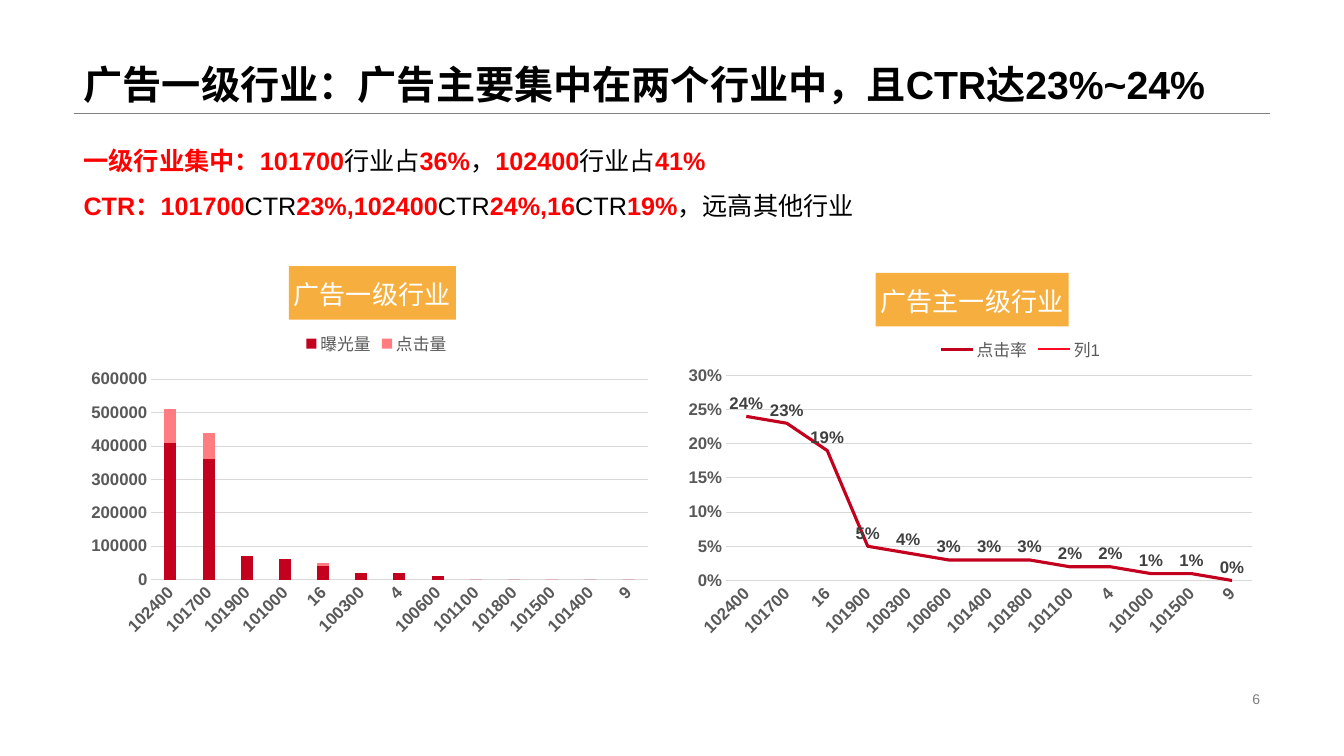
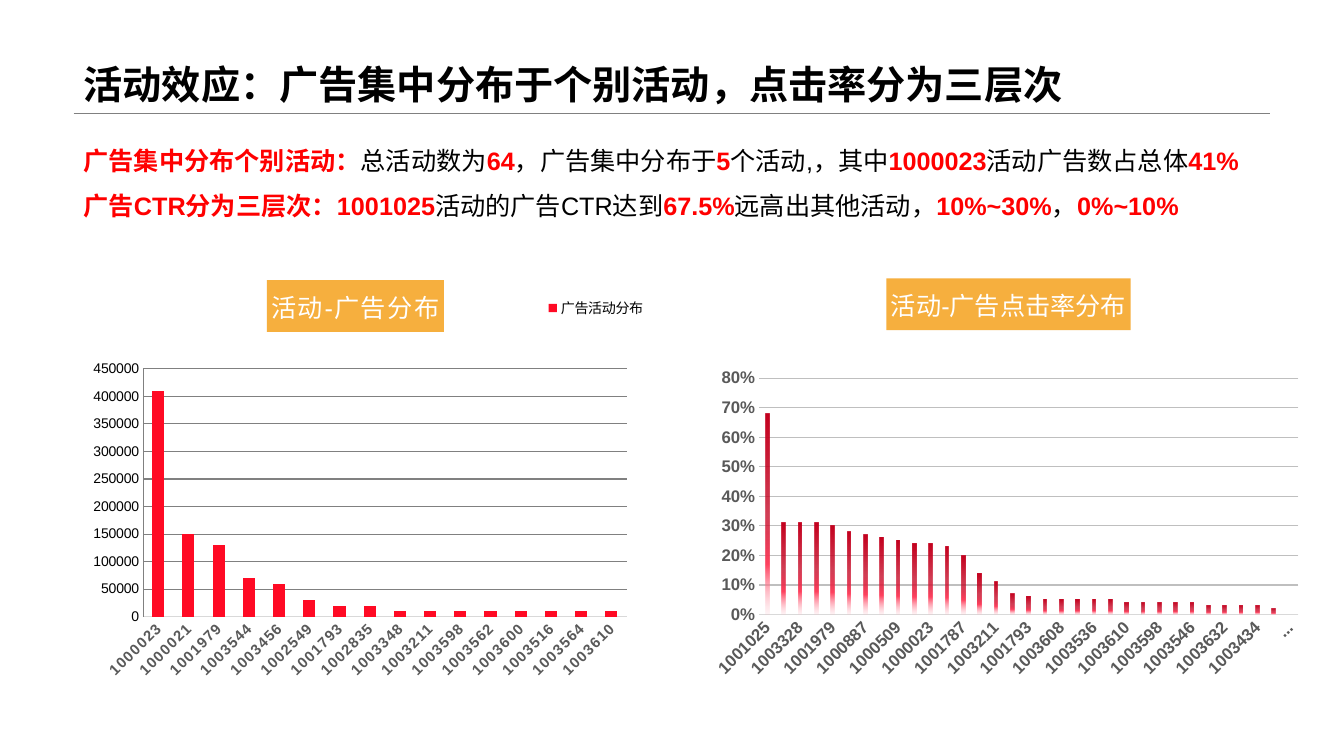
"""Build two slides on how adverts spread over industries and campaigns."""
from lxml import etree
from pptx import Presentation
from pptx.chart.data import CategoryChartData
from pptx.dml.color import RGBColor
from pptx.enum.chart import XL_CHART_TYPE, XL_LABEL_POSITION, XL_LEGEND_POSITION, XL_TICK_MARK
from pptx.enum.shapes import MSO_CONNECTOR
from pptx.enum.text import MSO_ANCHOR, MSO_AUTO_SIZE, PP_ALIGN
from pptx.oxml import parse_xml
from pptx.oxml.ns import nsdecls, qn
from pptx.util import Inches, Pt

STACK = XL_CHART_TYPE.COLUMN_STACKED
BARS = XL_CHART_TYPE.COLUMN_CLUSTERED
LINE = XL_CHART_TYPE.LINE
ABOVE = XL_LABEL_POSITION.ABOVE
BOTTOM, RIGHT = XL_LEGEND_POSITION.BOTTOM, XL_LEGEND_POSITION.RIGHT
NO_TICK = XL_TICK_MARK.NONE
STRAIGHT = MSO_CONNECTOR.STRAIGHT
LOW, MID, TOP = MSO_ANCHOR.BOTTOM, MSO_ANCHOR.MIDDLE, MSO_ANCHOR.TOP
FIXED = MSO_AUTO_SIZE.NONE
LEFT, FAR = PP_ALIGN.LEFT, PP_ALIGN.RIGHT

FACE = "Arial"
WIDE, HIGH = Inches(13.333), Inches(7.5)
TONES = {
    "black": "000000", "white": "FFFFFF", "red": "FF0000", "grey": "808080",
    "slate": "595959", "dark": "404040", "pale": "D9D9D9", "mist": "BFBFBF",
    "amber": "F6AF3E", "wine": "C4001F", "pink": "FF7C80", "fire": "FF0A24",
}
FADE = [(0, "C4001F", 100), (51, "C4001F", 75), (75, "FF4360", 100), (100, "FFC0CA", 15)]
EDGE, SPAN, RULE = 5.48, 89.03, 14.93

SLIDES = [
    {
        "title": "广告一级行业：广告主要集中在两个行业中，且CTR达23%~24%",
        "number": "6",
        "text": [
            "一级行业集中：101700|行业占|36%|，|102400|行业占|41%",
            "CTR：101700|CTR|23%,102400|CTR|24%,16|CTR|19%|，远高其他行业",
        ],
        "charts": [
            {
                "kind": STACK, "box": (EDGE, 33.47, 44.49, 57.6),
                "title": "广告一级行业", "size": 18.6, "spot": (0.36, 0.03),
                "plot": (0.13, 0.29, 0.83, 0.46), "bars": {"gap_width": 219, "overlap": 100},
                "key": (BOTTOM, 12, "slate", (0.38, 0.17)), "grid": "pale",
                "cats": "102400 101700 101900 101000 16 100300 4 100600 101100 101800 "
                        "101500 101400 9",
                "sets": [
                    ("曝光量", "wine", [410000, 360000, 70000, 60000, 40000, 20000, 20000, 10000]
                     + [0] * 5),
                    ("点击量", "pink", [100000, 80000, 0, 0, 10000] + [0] * 8),
                ],
            },
            {
                "kind": LINE, "box": (50.02, 34.4, 44.49, 56.53),
                "title": "广告主一级行业", "size": 18.6, "spot": (0.34, 0.03),
                "plot": (0.09, 0.27, 0.88, 0.48), "form": "0%",
                "key": (BOTTOM, 12, "slate", (0.44, 0.17)), "grid": "pale",
                "cats": "102400 101700 16 101900 100300 100600 101400 101800 101100 4 "
                        "101000 101500 9",
                "sets": [
                    ("点击率", "wine", [0.24, 0.23, 0.19, 0.05, 0.04, 0.03, 0.03, 0.03,
                                     0.02, 0.02, 0.01, 0.01, 0]),
                    ("列1", "fire", [None] * 13),
                ],
            },
        ],
    },
    {
        "title": "活动效应：广告集中分布于个别活动，点击率分为三层次",
        "text": [
            "广告集中分布个别活动：|总活动数为|64|，广告集中分布于|5|个活动,，其中|1000023"
            "|活动广告数占总体|41%",
            "广告CTR分为三层次：1001025|活动的广告CTR达到|67.5%|远高出其他活动，|10%~30%|，|0%~10%",
        ],
        "charts": [
            {
                "kind": BARS, "box": (4.5, 33.33, 43.88, 61.87),
                "title": "活动-广告分布", "size": 18, "spot": (0.35, 0.06), "gap": 100,
                "plot": (0.14, 0.25, 0.82, 0.53), "bars": {"gap_width": 150},
                "key": (RIGHT, 10, "black", (0.82, 0.09)), "grid": "grey", "plain": True,
                "cats": "1000023 1000021 1001979 1003544 1003456 1002549 1001793 1002835 "
                        "1003348 1003211 1003598 1003562 1003600 1003516 1003564 1003610",
                "sets": [
                    ("广告活动分布", "fire", [410000, 150000, 130000, 70000, 60000, 30000,
                                        20000, 20000] + [10000] * 8),
                ],
            },
            {
                "kind": BARS, "box": (52.88, 30.8, 45.08, 60.13),
                "title": "活动-广告点击率分布", "size": 18, "spot": (0.29, 0.1),
                "plot": (0.08, 0.32, 0.89, 0.52), "bars": {"gap_width": 355, "overlap": -70},
                "form": "0%", "grid": "mist",
                "cats": "1001025 1003197 1003328 1002581 1001979 1002549 1000887 1000021 "
                        "1000509 1003624 1000023 1002913 1001787 1000493 1003211 1001053 "
                        "1001793 1003538 1003608 1003616 1003536 1003544 1003610 1003590 "
                        "1003598 1001623 1003546 1003626 1003632 1003578 1003434 1003602 ...",
                "sets": [
                    ("Series 1", None, [0.68, 0.31, 0.31, 0.31, 0.3, 0.28, 0.27, 0.26, 0.25,
                                        0.24, 0.24, 0.23, 0.2, 0.14, 0.11, 0.07, 0.06]
                     + [0.05] * 5 + [0.04] * 5 + [0.03] * 4 + [0.02, 0]),
                ],
            },
        ],
    },
]


def area(x, y, w, h):
    """Turn percentages of the slide into lengths."""
    return [int(part * full / 100) for part, full in zip((x, y, w, h), (WIDE, HIGH) * 2)]


def put(thing, **vals):
    """Set each named attribute."""
    for name, val in vals.items():
        setattr(thing, name, val)


def tint(tone):
    """Look up a colour."""
    return RGBColor.from_string(TONES[tone])


def ink(font, size, tone, bold=False):
    """Format a font."""
    put(font, name=FACE, size=Pt(size), bold=bold)
    font.color.rgb = tint(tone)


def paint(fill, tone):
    """Fill with one colour."""
    fill.solid()
    fill.fore_color.rgb = tint(tone)


def draw(line, tone, width):
    """Format a line."""
    line.color.rgb = tint(tone)
    line.width = Pt(width)


def write(shape, rows, size, tones, bold, anchor, align=LEFT, space=1.0):
    """Write rows whose parts, split by bars, take turns in tone and weight."""
    frame = shape.text_frame
    put(frame, word_wrap=True, auto_size=FIXED, vertical_anchor=anchor)
    for i, row in enumerate(rows):
        para = frame.add_paragraph() if i else frame.paragraphs[0]
        put(para, alignment=align, line_spacing=space)
        for j, part in enumerate(row.split("|")):
            run = para.add_run()
            run.text = part
            ink(run.font, size, tones[j % len(tones)], bold and j % 2 == 0)


def place(node, spot, index):
    """Give a chart part a fixed spot, as shares of the chart."""
    for old in node.findall(qn("c:layout")):
        node.remove(old)
    lay = etree.Element(qn("c:layout"))
    hand = etree.SubElement(lay, qn("c:manualLayout"))
    vals = [("xMode", "edge"), ("yMode", "edge"), *zip("xywh", spot)]
    if len(spot) == 4:
        vals.insert(0, ("layoutTarget", "inner"))
    for name, val in vals:
        etree.SubElement(hand, qn("c:" + name)).set("val", str(val))
    node.insert(index, lay)


def fade(series):
    """Fill a series with the fading gradient."""
    stops = "".join(
        f'<a:gs pos="{pos * 1000}"><a:srgbClr val="{tone}"><a:alpha val="{alpha * 1000}"/>'
        f'</a:srgbClr></a:gs>' for pos, tone, alpha in FADE)
    fill = series.format.fill
    fill.solid()
    solid = series.format.element.xpath("./c:spPr/a:solidFill")[0] \
        if hasattr(series.format, "element") else series._element.xpath("./c:spPr/a:solidFill")[0]
    solid.getparent().replace(solid, parse_xml(
        f'<a:gradFill {nsdecls("a")}><a:gsLst>{stops}</a:gsLst>'
        '<a:lin ang="5400000" scaled="0"/></a:gradFill>'))


def style(series, tone, kind):
    """Colour one series and label it if it is a line."""
    if kind == LINE:
        series.smooth = False
        draw(series.format.line, tone, 2.25 if tone == "wine" else 1.5)
        tags = series.data_labels
        put(tags, show_value=True, position=ABOVE)
        ink(tags.font, 12, "dark", True)
    elif tone:
        paint(series.format.fill, tone)
    else:
        fade(series)


def axes(chart, data):
    """Format both axes."""
    plain, gap = data.get("plain"), data.get("gap", 0)
    cat, val = chart.category_axis, chart.value_axis
    for axis in (cat, val):
        put(axis, major_tick_mark=NO_TICK, minor_tick_mark=NO_TICK)
    ink(cat.tick_labels.font, 10.6 if plain else 12, "slate", True)
    draw(cat.format.line, "pale", 0.75)
    text = cat._element.find(qn("c:txPr"))
    text.find(qn("a:bodyPr")).set("rot", "-2700000")
    for node in text.iter(qn("a:defRPr")):
        node.set("spc", str(gap))
    val.has_major_gridlines = True
    draw(val.major_gridlines.format.line, data["grid"], 0.75)
    put(val.tick_labels, number_format=data.get("form", "General"),
        number_format_is_linked=False)
    if plain:
        ink(val.tick_labels.font, 10, "black")
        draw(val.format.line, "grey", 0.75)
    else:
        ink(val.tick_labels.font, 12, "slate", True)
        val.format.line.fill.background()


def graph(slide, data):
    """Add one chart with its amber title and key."""
    form = data.get("form", "General")
    table = CategoryChartData(number_format=form)
    table.categories = data["cats"].split()
    for name, _, vals in data["sets"]:
        table.add_series(name, vals)
    chart = slide.shapes.add_chart(data["kind"], *area(*data["box"]), table).chart
    ink(chart.font, 10, "black")
    plot = chart.plots[0]
    put(plot, vary_by_categories=False, **data.get("bars", {}))
    for series, (_, tone, _) in zip(plot.series, data["sets"]):
        style(series, tone, data["kind"])
    axes(chart, data)
    head = chart.chart_title
    run = head.text_frame.paragraphs[0].add_run()
    run.text = data["title"]
    ink(run.font, data["size"], "white")
    run.font._element.set("spc", str(data.get("gap", 0)))
    paint(head.format.fill, "amber")
    place(head._element, data["spot"], 1)
    place(chart.element.xpath(".//c:plotArea")[0], data["plot"], 0)
    chart.has_legend = "key" in data
    if chart.has_legend:
        side, size, tone, spot = data["key"]
        put(chart.legend, position=side, include_in_layout=False)
        ink(chart.legend.font, size, tone)
        place(chart.legend._element, spot, 1)


def page(deck, data):
    """Add one slide with title, rule, text and charts."""
    slide = deck.slides.add_slide(deck.slide_layouts[5])
    head = slide.shapes.title
    put(head, **dict(zip(("left", "top", "width", "height"), area(EDGE, 0, SPAN, RULE))))
    write(head, [data["title"]], 28, ["black"], True, LOW, space=0.9)
    x, y, w, _ = area(EDGE, RULE, SPAN, 0)
    rule = slide.shapes.add_connector(STRAIGHT, x, y, x + w, y)
    draw(rule.line, "grey", 0.25)
    etree.SubElement(rule._element.spPr, qn("a:effectLst"))
    for item in data["charts"]:
        graph(slide, item)
    body = slide.shapes.add_textbox(*area(EDGE, 16.53, SPAN, 13.47))
    write(body, data["text"], 18, ["red", "black"], True, TOP, space=1.5)
    if "number" in data:
        foot = slide.shapes.add_textbox(*area(70.65, 90.93, 23.85, 3.07))
        write(foot, [data["number"]], 10, ["grey"], False, MID, FAR)


def main():
    """Build and save the deck."""
    deck = Presentation()
    put(deck, slide_width=WIDE, slide_height=HIGH)
    for data in SLIDES:
        page(deck, data)
    deck.save("out.pptx")


if __name__ == "__main__":
    main()
